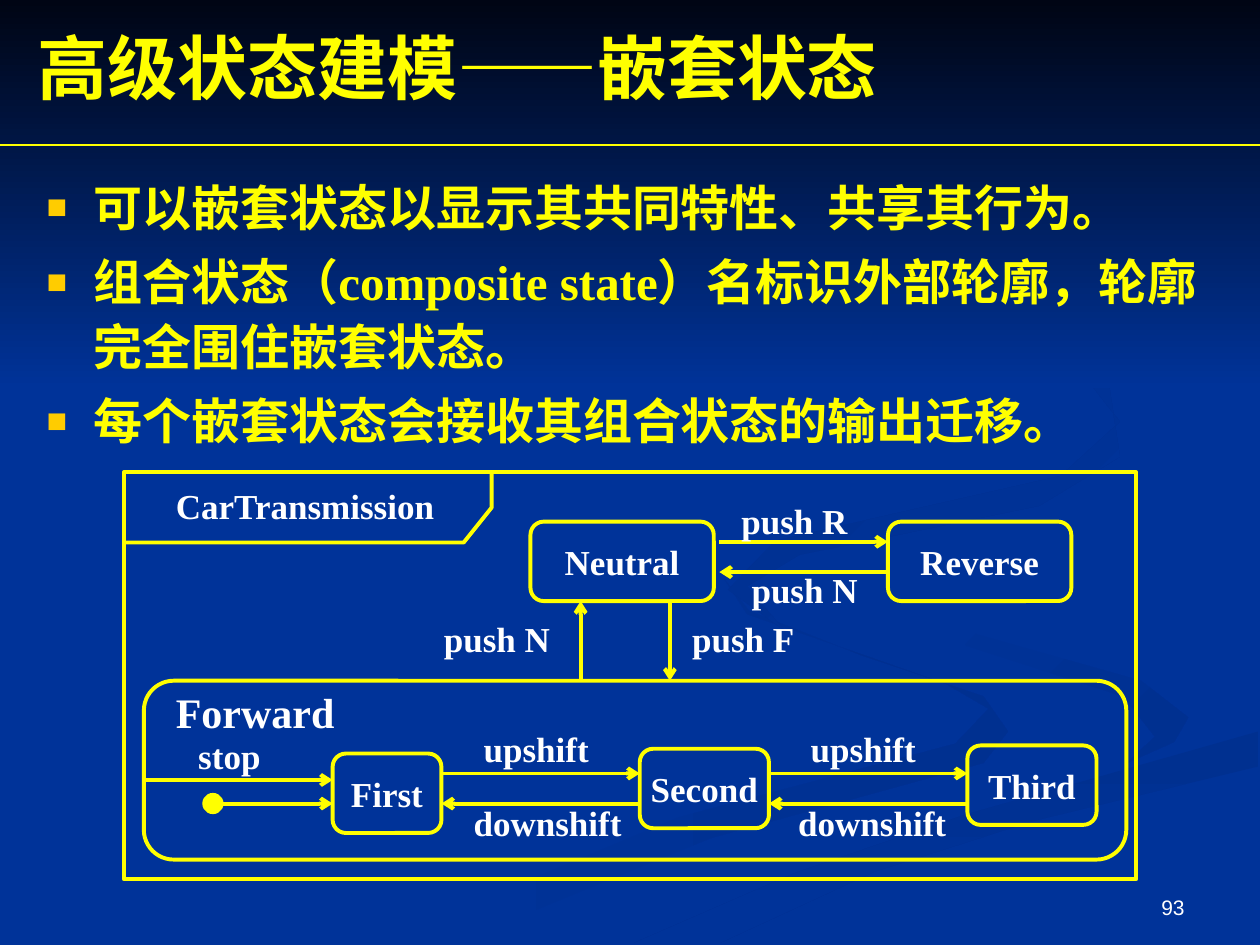
from typing import NamedTuple

from lxml.etree import SubElement
from pptx import Presentation
from pptx.dml.color import RGBColor
from pptx.enum.shapes import MSO_CONNECTOR, MSO_SHAPE as Preset
from pptx.enum.text import MSO_ANCHOR as Anchor, MSO_AUTO_SIZE as AutoSize, PP_ALIGN as Align
from pptx.oxml.ns import qn
from pptx.util import Pt

NAVY = RGBColor(0x00, 0x33, 0x99)
DEEP_NAVY = RGBColor(0x00, 0x30, 0x90)
MIDNIGHT = RGBColor(0x00, 0x05, 0x14)
YELLOW = RGBColor(0xFF, 0xFF, 0x00)
GOLD = RGBColor(0xFF, 0xCC, 0x00)
WHITE = RGBColor(0xFF, 0xFF, 0xFF)
SERIF, SANS = "Times New Roman", "Arial"
STROKE = 2.25


class Swirl(NamedTuple):
    start: RGBColor
    end: RGBColor
    angle: float  # clockwise degrees
    outline: list


class State(NamedTuple):
    name: str
    left: float
    top: float
    width: float
    height: float = 45.4

    @property
    def right(self) -> float:
        return self.left + self.width

    @property
    def bottom(self) -> float:
        return self.top + self.height


class Arrow(NamedTuple):
    x1: float
    y1: float
    x2: float
    y2: float


class Label(NamedTuple):
    text: str
    left: float
    top: float
    width: float = 79.2
    size: float = 20


SWIRLS = [
    Swirl(NAVY, DEEP_NAVY, 0, [
        (562, 398), (491, 374), (428, 349), (414, 331), (427, 351), (541, 391), (565, 405),
        (546, 425), (388, 467), (216, 539), (260, 539), (406, 479), (562, 436), (576, 418)]),
    Swirl(NAVY, DEEP_NAVY, 45, [
        (679, 410), (652, 389), (546, 359), (521, 334), (552, 369), (642, 398), (660, 421),
        (644, 436), (671, 424)]),
    Swirl(DEEP_NAVY, NAVY, 90, [
        (362, 539), (411, 539), (500, 498), (591, 469), (719, 438), (719, 418), (550, 466),
        (454, 499)]),
    Swirl(DEEP_NAVY, NAVY, 45, [
        (492, 310), (594, 289), (640, 261), (634, 221), (549, 168), (609, 201), (640, 241),
        (606, 272), (443, 309), (416, 337), (448, 360), (427, 335), (457, 317)]),
    # Dark band fading down behind the title
    Swirl(MIDNIGHT, NAVY, 90, [(0, 0), (0, 222), (720, 222), (720, 0)]),
]

TITLE_PARTS = [("高级状态建模", SERIF), ("——", SANS), ("嵌套状态", SERIF)]
POINTS = [
    "可以嵌套状态以显示其共同特性、共享其行为。",
    "组合状态（composite state）名标识外部轮廓，轮廓完全围住嵌套状态。",
    "每个嵌套状态会接收其组合状态的输出迁移。",
]

FRAME = State("", 70.8, 269.8, 578.4, 232.6)
FORWARD = State("", 82.2, 389, 561.4, 102.2)
NEUTRAL = State("Neutral", 303.1, 298.1, 104.8)
REVERSE = State("Reverse", 507.4, 298.1, 104.8)
GEARS = [State("First", 190.1, 430.6, 62.2), State("Second", 365.6, 427.9, 73.8),
         State("Third", 552.8, 426, 73.8)]
TAB_BOTTOM, TAB_RIGHT = 309.6, 280.6
UP_Y, DOWN_Y, STOP_Y = 442, 459.2, 445.7
REVERSE_Y, RETURN_Y = 309.6, 326.9
NEUTRAL_GAP = 3.2  # the reverse arrows stop short of Neutral
DOT = 11.4
DOT_LEFT = 116

LABELS = [
    Label("CarTransmission", 93.4, 273.1, 165), Label("Forward", 93.4, 388.8, 107.3, 24),
    Label("push R", 416.6, 281.8), Label("push N", 422.4, 321.4),
    Label("push N", 246.6, 349.5), Label("push F", 388.4, 349.5),
    Label("stop", 106.2, 416.4),
    Label("upshift", 269.3, 412), Label("upshift", 456.2, 412),
    Label("downshift", 263.5, 454.5, 102.2), Label("downshift", 449, 454.5, 102.2),
]


def transitions() -> list[Arrow]:
    near = NEUTRAL.right + NEUTRAL_GAP
    arrows = [
        Arrow(near, REVERSE_Y, REVERSE.left, REVERSE_Y),
        Arrow(REVERSE.left, RETURN_Y, near, RETURN_Y),
        Arrow(331.8, FORWARD.top, 331.8, NEUTRAL.bottom),
        Arrow(382.8, NEUTRAL.bottom, 382.8, FORWARD.top),
        Arrow(FORWARD.left, STOP_Y, GEARS[0].left, STOP_Y),
        Arrow(DOT_LEFT + DOT, DOWN_Y, GEARS[0].left, DOWN_Y),
    ]
    for low, high in zip(GEARS, GEARS[1:]):
        arrows += [Arrow(low.right, UP_Y, high.left, UP_Y),
                   Arrow(high.left, DOWN_Y, low.right, DOWN_Y)]
    return arrows


def style(run, size: float, color: RGBColor, face: str = SERIF, bold: bool = True) -> None:
    run.font.size, run.font.bold, run.font.name = Pt(size), bold, face
    run.font.color.rgb = color


def place(shape, left: float, top: float, width: float, height: float) -> None:
    shape.left, shape.top, shape.width, shape.height = Pt(left), Pt(top), Pt(width), Pt(height)


def outline_only(shape) -> None:
    shape.shadow.inherit = False
    shape.fill.background()
    shape.line.color.rgb, shape.line.width = YELLOW, Pt(STROKE)


def trace(shapes, points: list, close: bool):
    builder = shapes.build_freeform(*points[0], scale=Pt(1))
    builder.add_line_segments(points[1:], close=close)
    return builder.convert_to_shape()


def draw_swirl(shapes, swirl: Swirl) -> None:
    shape = trace(shapes, swirl.outline, True)
    shape.shadow.inherit = False
    shape.line.fill.background()
    shape.fill.gradient()
    shape.fill.gradient_angle = (360 - swirl.angle) % 360
    for stop, color in zip(shape.fill.gradient_stops, (swirl.start, swirl.end)):
        stop.color.rgb = color


def draw_state(shapes, state: State, preset=Preset.ROUNDED_RECTANGLE) -> None:
    box = shapes.add_shape(preset, *map(Pt, state[1:]))
    outline_only(box)
    if state.name:
        frame = box.text_frame
        frame.text, frame.word_wrap, frame.vertical_anchor = state.name, False, Anchor.MIDDLE
        frame.paragraphs[0].alignment = Align.CENTER
        style(frame.paragraphs[0].runs[0], 20, WHITE)


def draw_line(shapes, arrow: Arrow, width: float = STROKE, head: bool = True) -> None:
    line = shapes.add_connector(MSO_CONNECTOR.STRAIGHT, *map(Pt, arrow))
    line.line.color.rgb, line.line.width = YELLOW, Pt(width)
    if head:
        SubElement(line.line._get_or_add_ln(), qn("a:tailEnd"), type="arrow")
    SubElement(line._element.spPr, qn("a:effectLst"))


def draw_label(shapes, label: Label) -> None:
    frame = shapes.add_textbox(Pt(label.left), Pt(label.top), Pt(label.width),
                               Pt(label.size * 1.5)).text_frame
    frame.text, frame.word_wrap = label.text, True
    style(frame.paragraphs[0].runs[0], label.size, WHITE)


def add_bullet(paragraph) -> None:
    props = paragraph._p.get_or_add_pPr()
    props.set("marL", str(Pt(27)))
    props.set("indent", str(-Pt(27)))
    SubElement(SubElement(props, qn("a:buClr")), qn("a:srgbClr"), val=str(GOLD))
    SubElement(props, qn("a:buSzPct"), val="70000")
    SubElement(props, qn("a:buChar"), char="■")


def main() -> None:
    deck = Presentation()
    deck.slide_width, deck.slide_height = Pt(720), Pt(540)
    slide = deck.slides.add_slide(deck.slide_layouts[1])
    shapes = slide.shapes
    title, body = shapes.title, slide.placeholders[1]

    # Backdrop, with the placeholders lifted above it
    slide.background.fill.solid()
    slide.background.fill.fore_color.rgb = NAVY
    for swirl in SWIRLS:
        draw_swirl(shapes, swirl)
    for placeholder in (title, body):
        shapes._spTree.append(placeholder._element)
    draw_line(shapes, Arrow(0, 82.8, 720, 82.8), 0.75, head=False)

    # Title
    place(title, 14.4, 10.1, 648, 55.4)
    title.text_frame.auto_size, title.text_frame.vertical_anchor = AutoSize.NONE, Anchor.MIDDLE
    heading = title.text_frame.paragraphs[0]
    heading.alignment = Align.LEFT
    for text, face in TITLE_PARTS:
        run = heading.add_run()
        run.text = text
        style(run, 40, YELLOW, face)

    # Bulleted points
    place(body, 19.4, 94.3, 674.6, 209.5)
    body.text_frame.text, body.text_frame.auto_size = "\n".join(POINTS), AutoSize.NONE
    for index, point in enumerate(body.text_frame.paragraphs):
        add_bullet(point)
        point.line_spacing, point.space_before = 1.1, Pt(5.6 if index else 0)
        style(point.runs[0], 28, YELLOW)

    # State diagram: frame, name tab, states, transitions
    draw_state(shapes, FRAME, Preset.RECTANGLE)
    outline_only(trace(shapes, [(TAB_RIGHT, FRAME.top), (TAB_RIGHT, TAB_BOTTOM - 20),
                                (TAB_RIGHT - 16, TAB_BOTTOM), (FRAME.left, TAB_BOTTOM)], False))
    for state in (FORWARD, NEUTRAL, REVERSE, *GEARS):
        draw_state(shapes, state)
    for arrow in transitions():
        draw_line(shapes, arrow)
    initial = shapes.add_shape(Preset.OVAL, Pt(DOT_LEFT), Pt(DOWN_Y - DOT / 2), Pt(DOT), Pt(DOT))
    outline_only(initial)
    initial.fill.solid()
    initial.fill.fore_color.rgb, initial.line.width = YELLOW, Pt(0.75)
    for label in LABELS:
        draw_label(shapes, label)

    # Page number
    number = shapes.add_textbox(Pt(516), Pt(491.8), Pt(168), Pt(37.4)).text_frame
    number.text, number.word_wrap, number.vertical_anchor = "93", True, Anchor.BOTTOM
    number.paragraphs[0].alignment = Align.RIGHT
    style(number.paragraphs[0].runs[0], 12, WHITE, SANS, False)

    deck.save("out.pptx")


if __name__ == "__main__":
    main()
